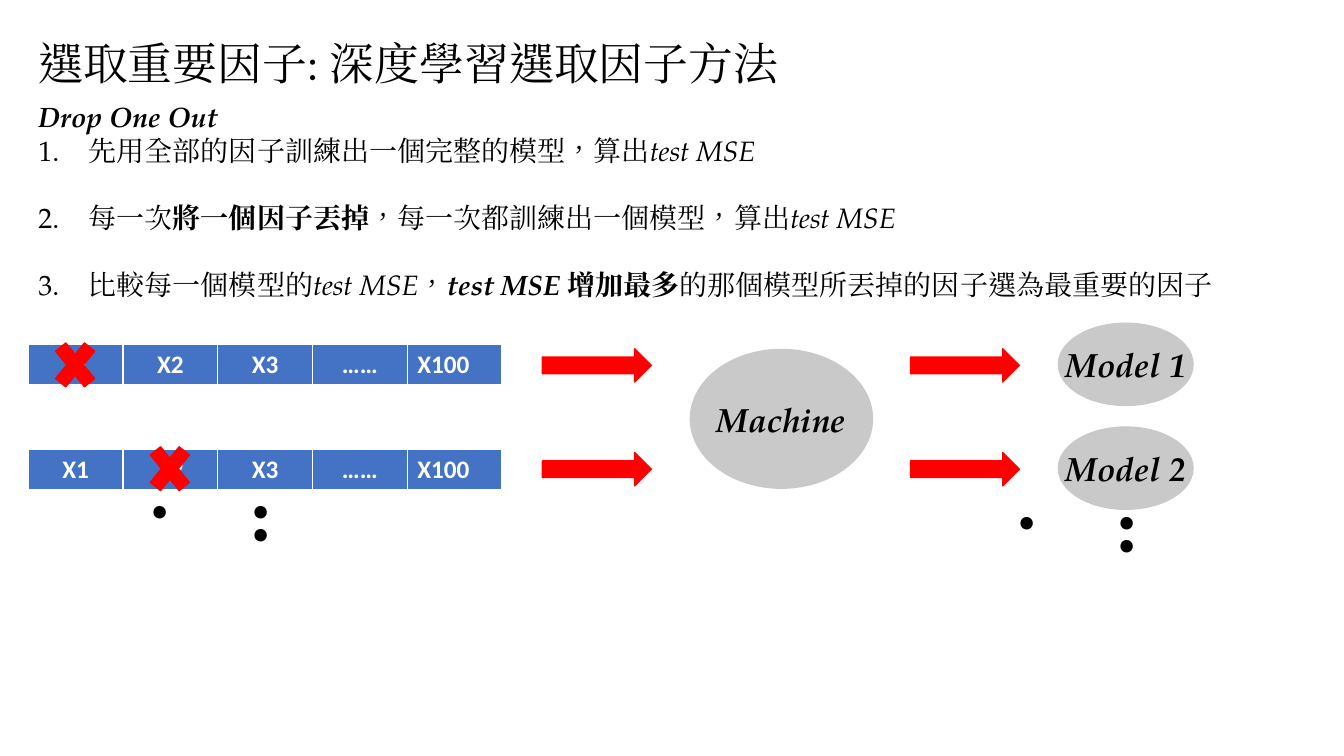
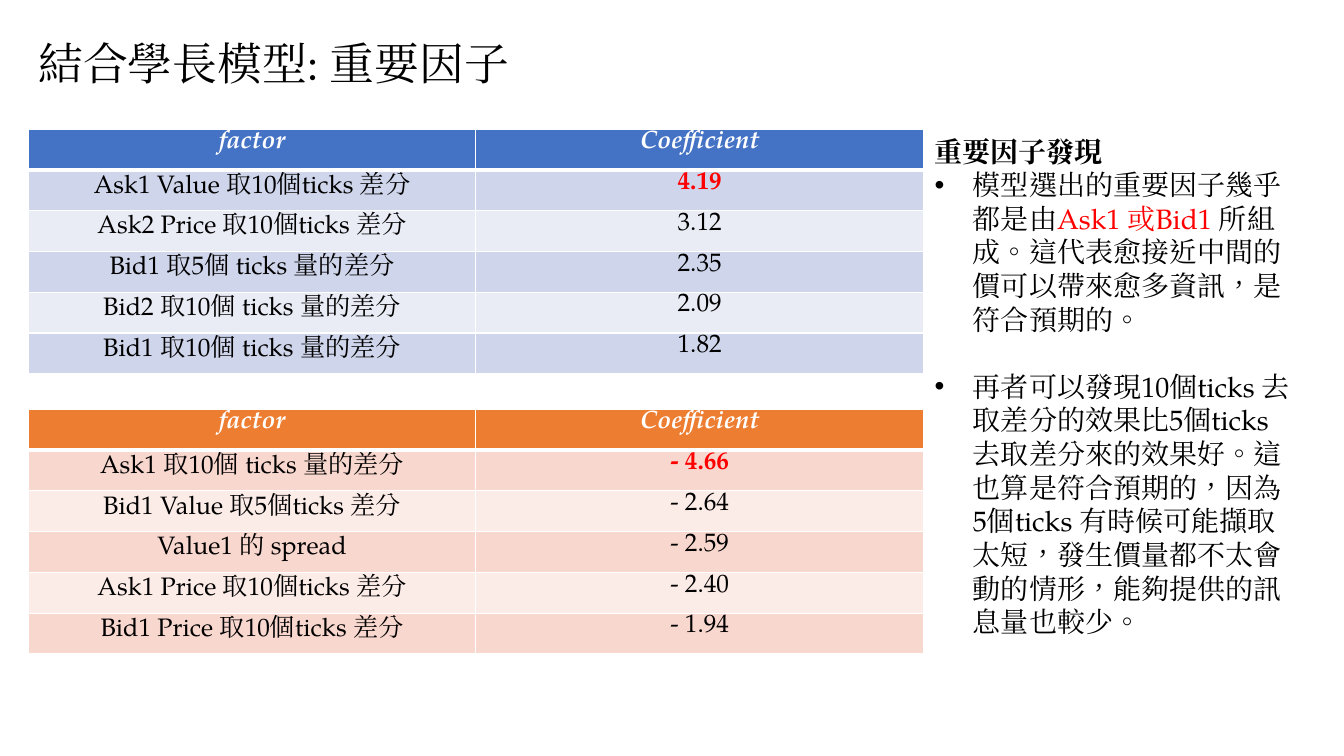
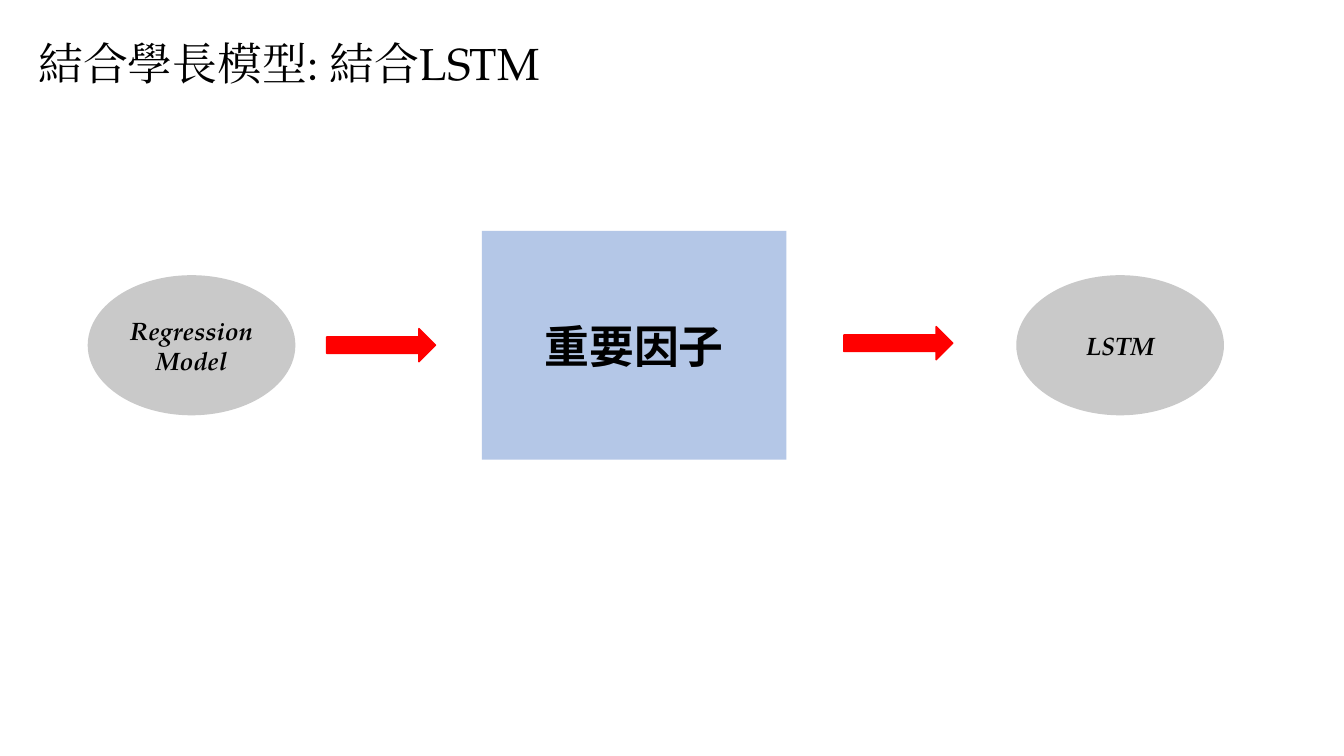
import pptx
import pptx.util
import pptx.dml.color
import pptx.enum.lang
import pptx.enum.shapes
import pptx.enum.text
import pptx.oxml.ns
from lxml import etree

Inches = pptx.util.Inches
Pt = pptx.util.Pt
RGBColor = pptx.dml.color.RGBColor
SHAPE = pptx.enum.shapes.MSO_SHAPE
ALIGN = pptx.enum.text.PP_ALIGN
ANCHOR = pptx.enum.text.MSO_ANCHOR
qn = pptx.oxml.ns.qn

BLACK = RGBColor(0x00, 0x00, 0x00)
WHITE = RGBColor(0xFF, 0xFF, 0xFF)
RED = RGBColor(0xFF, 0x00, 0x00)
GREY = RGBColor(0xC9, 0xC9, 0xC9)
LIGHT_BLUE = RGBColor(0xB4, 0xC7, 0xE7)
BLUE = RGBColor(0x44, 0x72, 0xC4)
BLUE_BANDS = (RGBColor(0xCF, 0xD5, 0xEA), RGBColor(0xE9, 0xEB, 0xF5))
ORANGE = RGBColor(0xED, 0x7D, 0x31)
ORANGE_BANDS = (RGBColor(0xF8, 0xD7, 0xCE), RGBColor(0xFC, 0xEC, 0xE8))

SERIF = "TeX Gyre Pagella"
SANS = "Calibri"
CHINESE = "Noto Sans CJK SC"

LEFT = 0.28
ROW_HEIGHT = 0.405
ARROW_SIZE = (1.08, 0.33)
CROSS_SIZE = (0.55, 0.68)


class SlideBuilder:
    def __init__(self, deck):
        self.deck = deck
        self.slide = None

    def start(self, title, layout):
        self.slide = self.deck.slides.add_slide(self.deck.slide_layouts[layout])
        frame = self.place(self.slide.shapes.title, (LEFT, 0.3, 7.9, 0.64))
        para = frame.paragraphs[0]
        para.alignment = ALIGN.LEFT
        self.add_spans(para, [(title, "")], 32)

    def place(self, holder, bounds):
        """Move a placeholder and give back its text frame, top anchored."""
        holder.left, holder.top, holder.width, holder.height = map(Inches, bounds)
        frame = holder.text_frame
        frame.word_wrap = True
        frame.auto_size = pptx.enum.text.MSO_AUTO_SIZE.NONE
        frame.vertical_anchor = ANCHOR.TOP
        return frame

    def add_spans(self, para, pieces, size, font=SERIF, color=BLACK):
        """Add runs from (text, marks); marks are b bold, i italic, r red."""
        for text, marks in pieces:
            span = para.add_run()
            span.text = text
            style = span.font
            style.name, style.size = font, Pt(size)
            style.bold, style.italic = "b" in marks, "i" in marks
            style.color.rgb = RED if "r" in marks else color
            style.language_id = pptx.enum.lang.MSO_LANGUAGE_ID.TRADITIONAL_CHINESE
            latin = style._element.find(qn("a:latin"))
            east_asian = etree.Element(qn("a:ea"), typeface=font)
            latin.addnext(east_asian)

    def body(self, bounds, heading, items, indent, bullet):
        """Fill the body placeholder; bullet is (tag, attributes, font)."""
        frame = self.place(self.slide.placeholders[1], bounds)
        tag, attributes, bullet_font = bullet
        for index, pieces in enumerate([heading] + items):
            para = frame.paragraphs[0] if index == 0 else frame.add_paragraph()
            para.alignment = ALIGN.LEFT
            para.space_before = Pt(24 if index > 1 else 0)
            properties = para._p.get_or_add_pPr()
            margin = Inches(indent) if index else 0
            properties.set("marL", str(margin))
            properties.set("indent", str(-margin))
            if index:
                etree.SubElement(properties, qn("a:buFont"), typeface=bullet_font)
                etree.SubElement(properties, qn(tag), attributes)
            else:
                etree.SubElement(properties, qn("a:buNone"))
            self.add_spans(para, pieces, 20)

    def shape(self, kind, bounds, fill, line=None, lines=(), size=18, font=SERIF, marks="bi"):
        box = self.slide.shapes.add_shape(kind, *map(Inches, bounds))
        box.shadow.inherit = False
        box.fill.solid()
        box.fill.fore_color.rgb = fill
        if line is None:
            box.line.fill.background()
        else:
            box.line.color.rgb = line
            box.line.width = Pt(1)
        frame = box.text_frame
        frame.word_wrap = False
        frame.vertical_anchor = ANCHOR.MIDDLE
        for index, text in enumerate(lines):
            para = frame.paragraphs[0] if index == 0 else frame.add_paragraph()
            para.alignment = ALIGN.CENTER
            self.add_spans(para, [(text, marks)], size, font)

    def ellipse(self, bounds, lines, size=18):
        self.shape(SHAPE.OVAL, bounds, GREY, lines=lines, size=size)

    def arrow(self, left, top):
        self.shape(SHAPE.RIGHT_ARROW, (left, top, *ARROW_SIZE), RED, RED)

    def cross(self, left, top):
        self.shape(SHAPE.MATH_MULTIPLY, (left, top, *CROSS_SIZE), RED, RED)

    def vertical_dots(self, left, top):
        box = self.slide.shapes.add_textbox(*map(Inches, (left, top, 1.21, 0.84)))
        frame = box.text_frame
        frame.word_wrap = True
        frame._txBody.bodyPr.set("vert", "eaVert")
        self.add_spans(frame.paragraphs[0], [("...", "b")], 60, SANS)

    def table(self, top, row_count, column_count, column_width):
        frame = self.slide.shapes.add_table(
            row_count, column_count, Inches(LEFT), Inches(top),
            Inches(column_width * column_count), Inches(ROW_HEIGHT * row_count))
        for column in frame.table.columns:
            column.width = Inches(column_width)
        for row in frame.table.rows:
            row.height = Inches(ROW_HEIGHT)
        return frame.table

    def cell(self, cell, text, fill, is_header, marks="", font=SERIF,
             align=ALIGN.CENTER, spacing=None):
        cell.fill.solid()
        cell.fill.fore_color.rgb = fill
        properties = cell._tc.get_or_add_tcPr()
        for index, side in enumerate(("lnL", "lnR", "lnT", "lnB")):
            width = Pt(3 if is_header and side == "lnB" else 1)
            border = etree.Element(qn("a:" + side), w=str(width))
            solid = etree.SubElement(border, qn("a:solidFill"))
            etree.SubElement(solid, qn("a:srgbClr"), val=str(WHITE))
            properties.insert(index, border)
        para = cell.text_frame.paragraphs[0]
        para.alignment = align
        if spacing:
            para.line_spacing = spacing
        self.add_spans(para, [(text, marks)], 18, font, WHITE if is_header else BLACK)

    def factor_row(self, top):
        names = ("X1", "X2", "X3", "……", "X100")
        table = self.table(top, 1, len(names), 0.94)
        for index, name in enumerate(names):
            align = ALIGN.LEFT if name == "X100" else ALIGN.CENTER
            self.cell(table.cell(0, index), name, BLUE, True, "b", SANS, align)

    def coefficient_table(self, top, header_fill, bands, rows):
        table = self.table(top, len(rows) + 1, 2, 4.44)
        for index, name in enumerate(("factor", "Coefficient")):
            self.cell(table.cell(0, index), name, header_fill, True, "bi", spacing=0.72)
        for number, (factor, coefficient) in enumerate(rows, 1):
            fill = bands[(number - 1) % 2]
            self.cell(table.cell(number, 0), factor, fill, False)
            self.cell(table.cell(number, 1), coefficient, fill, False,
                      "br" if number == 1 else "", spacing=0.72)


def build_drop_one_out(page):
    page.start("選取重要因子: 深度學習選取因子方法", 1)
    page.body(
        (LEFT, 0.94, 12.8, 2.12),
        [("Drop One Out", "bi")],
        [
            [("先用全部的因子訓練出一個完整的模型，算出", ""), ("test MSE", "i")],
            [("每一次", ""), ("將一個因子丟掉", "b"),
             ("，每一次都訓練出一個模型，算出", ""), ("test MSE", "i")],
            [("比較每一個模型的", ""), ("test MSE", "i"), ("，", ""),
             ("test MSE ", "bi"), ("增加最多", "b"),
             ("的那個模型所丟掉的因子選為最重要的因子", "")],
        ],
        0.5, ("a:buAutoNum", {"type": "arabicPeriod"}, "+mj-lt"))
    for top in (3.42, 4.46):
        page.factor_row(top)
    page.ellipse((6.84, 3.46, 1.82, 1.39), ["Machine"], 24)
    for index in range(2):
        drop = index * 1.03
        page.cross(0.47 + index * 0.94, 3.28 + drop)
        page.arrow(5.38, 3.46 + drop)
        page.arrow(9.03, 3.46 + drop)
        page.ellipse((10.49, 3.2 + drop, 1.35, 0.83), [f"Model {index + 1}"], 24)
    page.vertical_dots(2.21, 4.88)
    page.vertical_dots(10.8, 4.99)


def build_important_factors(page):
    page.start("結合學長模型: 重要因子", 1)
    page.coefficient_table(1.28, BLUE, BLUE_BANDS, [
        ("Ask1 Value 取10個ticks 差分", "4.19"),
        ("Ask2 Price 取10個ticks 差分", "3.12"),
        ("Bid1 取5個 ticks 量的差分", "2.35"),
        ("Bid2 取10個 ticks 量的差分", "2.09"),
        ("Bid1 取10個 ticks 量的差分", "1.82"),
    ])
    page.coefficient_table(4.06, ORANGE, ORANGE_BANDS, [
        ("Ask1 取10個 ticks 量的差分", "- 4.66"),
        ("Bid1 Value 取5個ticks 差分", "- 2.64"),
        ("Value1 的 spread", "- 2.59"),
        ("Ask1 Price 取10個ticks 差分", "- 2.40"),
        ("Bid1 Price 取10個ticks 差分", "- 1.94"),
    ])
    page.body(
        (9.17, 1.28, 3.77, 5.15),
        [("重要因子發現", "b")],
        [
            [("模型選出的重要因子幾乎都是由", ""), ("Ask1 或Bid1 ", "r"),
             ("所組成。這代表愈接近中間的價可以帶來愈多資訊，是符合預期的。", "")],
            [("再者可以發現10個ticks 去取差分的效果比5個ticks 去取差分來的效果好。"
              "這也算是符合預期的，因為5個ticks 有時候可能擷取太短，"
              "發生價量都不太會動的情形，能夠提供的訊息量也較少。", "")],
        ],
        0.38, ("a:buChar", {"char": "•"}, "Arial"))


def build_lstm(page):
    page.start("結合學長模型: 結合LSTM", 5)
    page.ellipse((0.87, 2.73, 2.06, 1.39), ["Regression", "Model"])
    page.ellipse((10.08, 2.73, 2.06, 1.39), ["LSTM"])
    page.shape(SHAPE.RECTANGLE, (4.78, 2.29, 3.02, 2.27), LIGHT_BLUE,
               lines=["重要因子"], size=32, font=CHINESE, marks="b")
    page.arrow(3.24, 3.26)
    page.arrow(8.37, 3.24)


def main():
    deck = pptx.Presentation()
    deck.slide_width, deck.slide_height = Inches(13.33), Inches(7.5)
    page = SlideBuilder(deck)
    build_drop_one_out(page)
    build_important_factors(page)
    build_lstm(page)
    deck.save("out.pptx")


if __name__ == "__main__":
    main()
